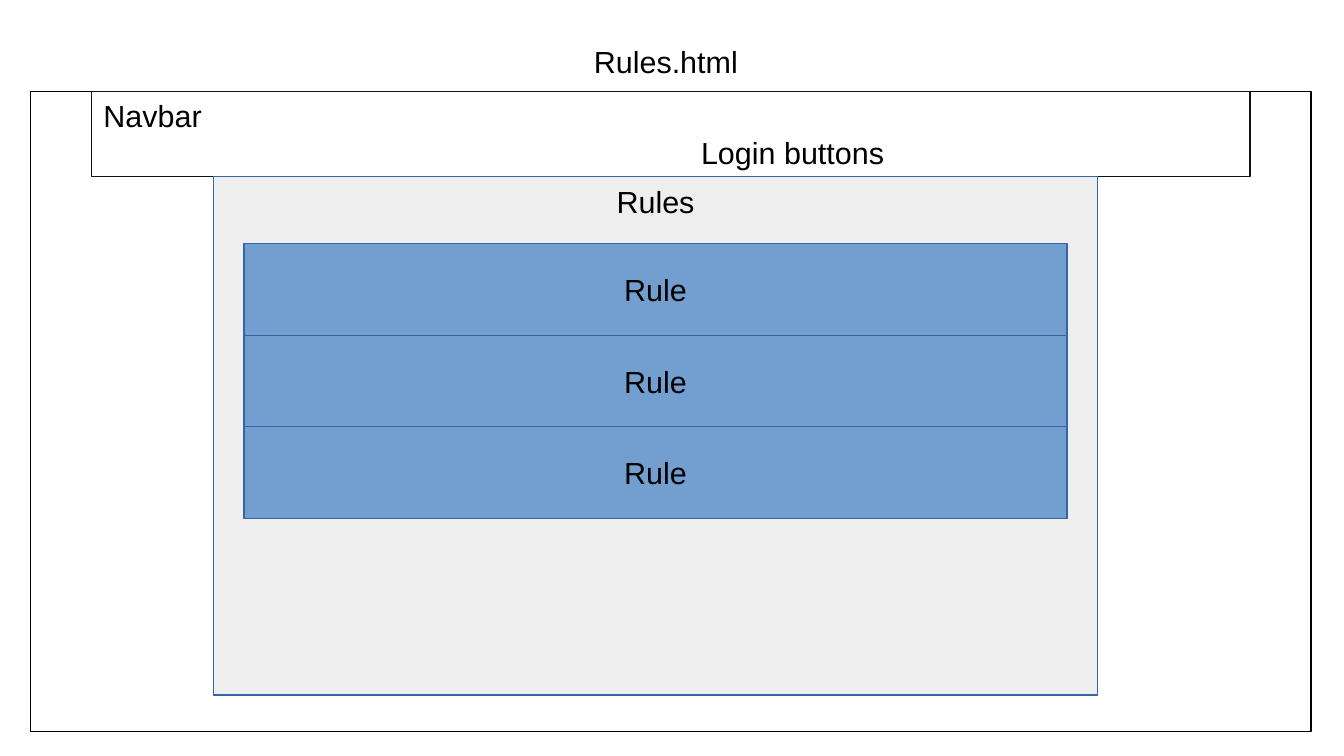
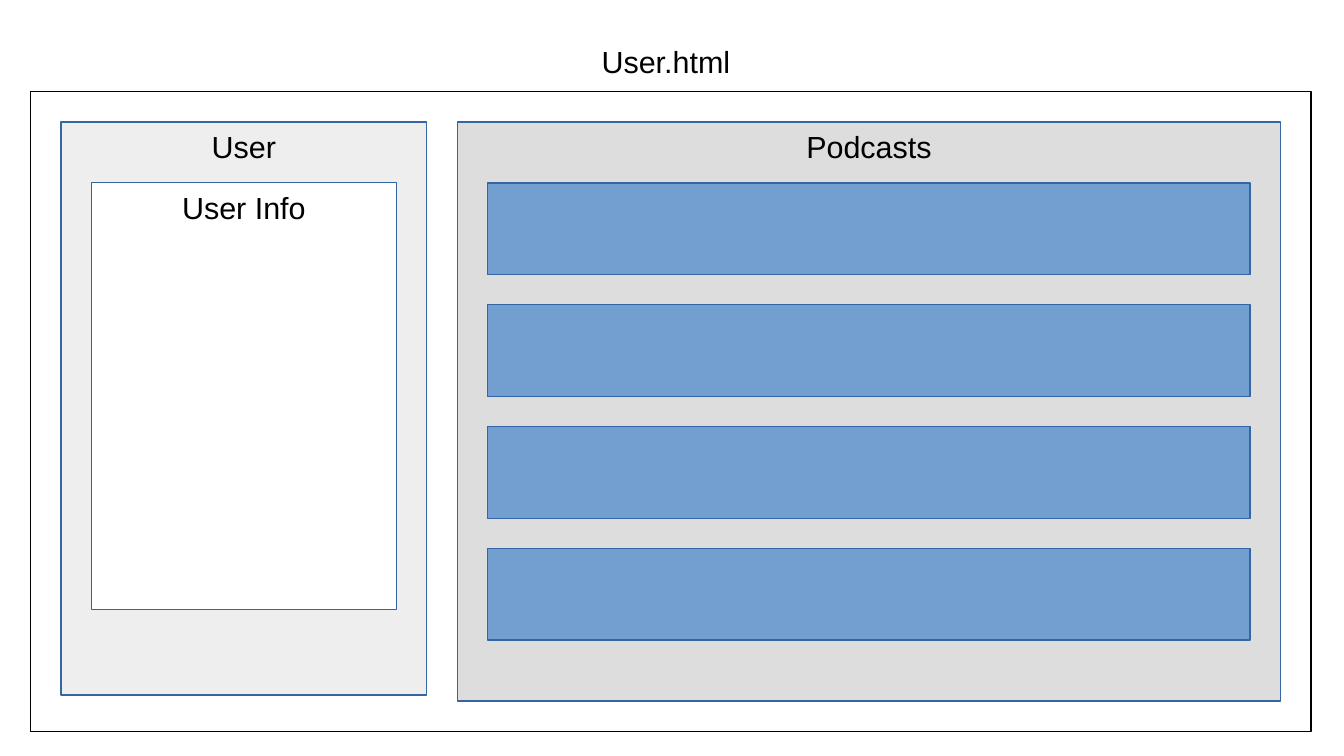
from dataclasses import dataclass

from pptx import Presentation
from pptx.dml.color import RGBColor
from pptx.enum.shapes import MSO_SHAPE
from pptx.enum.text import MSO_ANCHOR, PP_ALIGN
from pptx.slide import Slide
from pptx.text.text import TextFrame
from pptx.util import Inches, Pt

RECT = MSO_SHAPE.RECTANGLE
TOP, MIDDLE = MSO_ANCHOR.TOP, MSO_ANCHOR.MIDDLE
LEFT, CENTER = PP_ALIGN.LEFT, PP_ALIGN.CENTER

CELL = 0.25
FONT, SIZE = "Arial", 18
BLACK, WHITE = "000000", "FFFFFF"
PALE, GREY, BLUE, EDGE = "EEEEEE", "DDDDDD", "729FCF", "3465A4"


@dataclass(frozen=True)
class Line:
    text: str
    align: PP_ALIGN = CENTER
    indent: float = 0


@dataclass(frozen=True)
class Box:
    col: float
    row: float
    cols: float
    rows: float
    fill: str
    lines: tuple[Line, ...] = ()
    anchor: MSO_ANCHOR = TOP
    edge: str = EDGE
    width: float = 0


def color(code: str) -> RGBColor:
    return RGBColor.from_string(code)


def grid(*cells: float) -> list[int]:
    return [Inches(cell * CELL) for cell in cells]


def write(frame: TextFrame, lines: tuple[Line, ...], anchor: MSO_ANCHOR) -> None:
    frame.word_wrap = True
    frame.vertical_anchor = anchor
    for index, line in enumerate(lines):
        para = frame.add_paragraph() if index else frame.paragraphs[0]
        para.alignment = line.align
        if line.indent:
            para._p.get_or_add_pPr().set("marL", str(grid(line.indent)[0]))
        run = para.add_run()
        run.text = line.text
        run.font.name = FONT
        run.font.size = Pt(SIZE)
        run.font.color.rgb = color(BLACK)


def draw(slide: Slide, box: Box) -> None:
    shape = slide.shapes.add_shape(RECT, *grid(box.col, box.row, box.cols, box.rows))
    shape.shadow.inherit = False
    shape.fill.solid()
    shape.fill.fore_color.rgb = color(box.fill)
    shape.line.color.rgb = color(box.edge)
    shape.line.width = Pt(box.width)
    write(shape.text_frame, box.lines, box.anchor)


def stack(first: Box, count: int, step: float) -> list[Box]:
    return [
        Box(first.col, first.row + i * step, first.cols, first.rows,
            first.fill, first.lines, first.anchor)
        for i in range(count)
    ]


def page(deck: Presentation, title: str, boxes: list[Box]) -> None:
    slide = deck.slides.add_slide(deck.slide_layouts[6])
    slide.background.fill.solid()
    slide.background.fill.fore_color.rgb = color(WHITE)
    frame = slide.shapes.add_textbox(*grid(2, 1, 39.68, 2)).text_frame
    frame.margin_left = frame.margin_right = 0
    frame.margin_top = frame.margin_bottom = 0
    write(frame, (Line(title),), MIDDLE)
    for box in [Box(1, 3, 42, 21, WHITE, edge=BLACK), *boxes]:
        draw(slide, box)


NAV = (Line("Navbar", LEFT), Line("Login buttons", LEFT, 19.6))
RULES = [
    Box(3, 3, 38, 2.8, WHITE, NAV, MIDDLE, "111111", 0.79),
    Box(7, 5.8, 29, 17, PALE, (Line("Rules"),)),
    *stack(Box(8, 8, 27, 3, BLUE, (Line("Rule"),), MIDDLE), 3, 3),
]
USER = [
    Box(2, 4, 12, 18.8, PALE, (Line("User"),)),
    Box(3, 6, 10, 14, WHITE, (Line("User Info"),)),
    Box(15, 4, 27, 19, GREY, (Line("Podcasts"),)),
    *stack(Box(16, 6, 25, 3, BLUE), 4, 4),
]

deck = Presentation()
deck.slide_width, deck.slide_height = Inches(11.02), Inches(6.2)
page(deck, "Rules.html", RULES)
page(deck, "User.html", USER)
deck.save("out.pptx")
